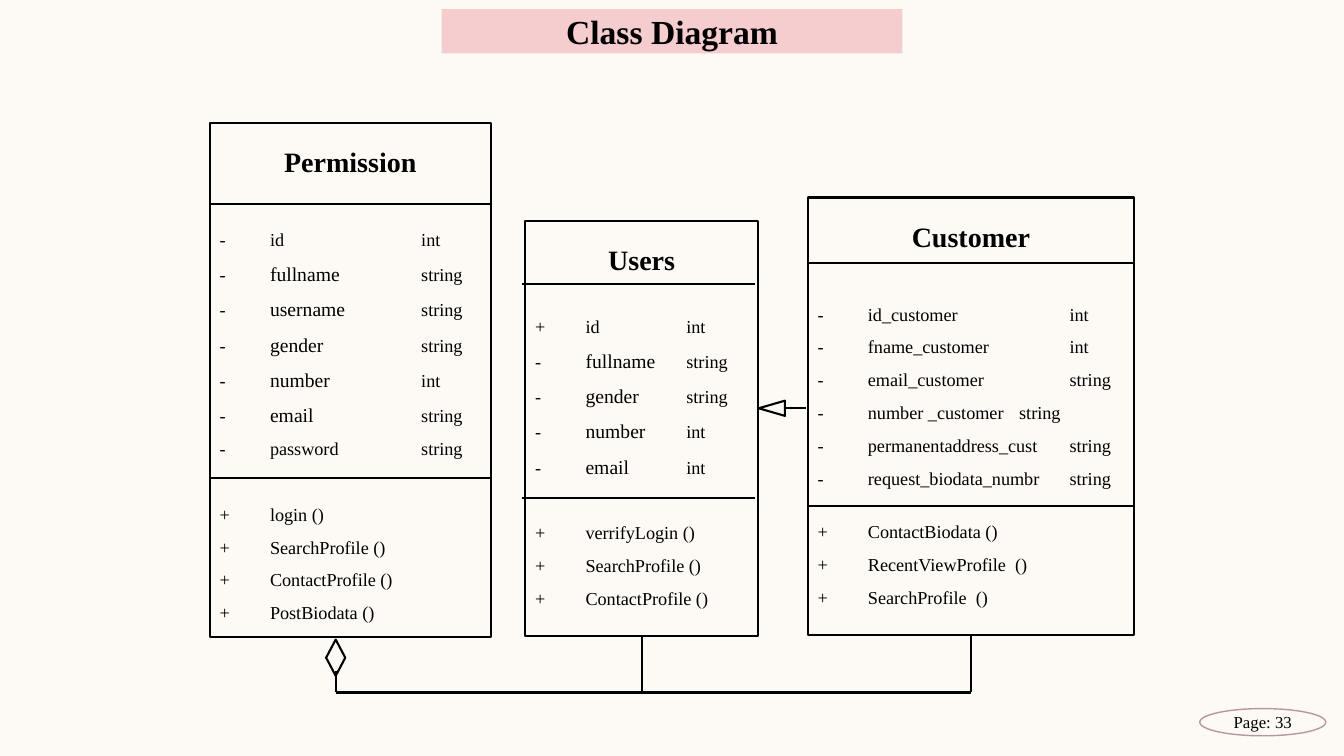
from pptx import Presentation
from pptx.dml.color import RGBColor
from pptx.enum.shapes import MSO_CONNECTOR, MSO_SHAPE
from pptx.enum.text import MSO_ANCHOR, PP_ALIGN
from pptx.oxml.ns import qn
from pptx.util import Inches, Pt
from lxml import etree

BLACK = RGBColor(0x00, 0x00, 0x00)
CREAM = RGBColor(0xFD, 0xFA, 0xF6)
PINK = RGBColor(0xF5, 0xCD, 0xCE)
MAUVE = RGBColor(0xB5, 0x98, 0x98)

RECTANGLE, ELLIPSE = MSO_SHAPE.RECTANGLE, MSO_SHAPE.OVAL
DIAMOND = MSO_SHAPE.FLOWCHART_DECISION
TRIANGLE = MSO_SHAPE.FLOWCHART_EXTRACT
STRAIGHT = MSO_CONNECTOR.STRAIGHT
CENTER, LEFT = PP_ALIGN.CENTER, PP_ALIGN.LEFT
TOP, MIDDLE = MSO_ANCHOR.TOP, MSO_ANCHOR.MIDDLE

FONT = "Times New Roman"
WIDTH, HEIGHT = Inches(13.33), Inches(7.5)
LINE_PITCH = 1.8  # line height as a multiple of the text size
NAME_TAB = 0.5    # inches from the text edge to the member names
BUS = 91.6        # height of the line that joins the classes

# Each class: place, the two dividers, their shift, the type column,
# the gaps above both member lists, attributes (mark, name, type, size), methods
CLASSES = [
    dict(name="Permission", box=(15.6, 16.27, 20.93, 68), dividers=(26.93, 63.2),
         shift=0, type_tab=2, gaps=(28, 23.4),
         attributes=[("-", "id", "int", 13), ("-", "fullname", "string", 14),
                     ("-", "username", "string", 14), ("-", "gender", "string", 14),
                     ("-", "number", "int", 14), ("-", "email", "string", 14),
                     ("-", "password", "string", 13)],
         methods=["login ()", "SearchProfile ()", "ContactProfile ()",
                  "PostBiodata ()"]),
    dict(name="Users", box=(39.08, 29.2, 17.33, 54.93), dividers=(37.6, 65.87),
         shift=-0.23, type_tab=1.5, gaps=(20, 23.4),
         attributes=[("+", "id", "int", 13), ("-", "fullname", "string", 14),
                     ("-", "gender", "string", 14), ("-", "number", "int", 14),
                     ("-", "email", "int", 14)],
         methods=["verrifyLogin ()", "SearchProfile ()", "ContactProfile ()"]),
    dict(name="Customer", box=(60.09, 26.13, 24.31, 57.87), dividers=(34.8, 66.93),
         shift=0, type_tab=2.5, gaps=(28, 15),
         attributes=[("-", "id_customer", "int", 13), ("-", "fname_customer", "int", 13),
                     ("-", "email_customer", "string", 13),
                     ("-", "number _customer", "string", 13, 2),
                     ("-", "permanentaddress_cust", "string", 13),
                     ("-", "request_biodata_numbr", "string", 13)],
         methods=["ContactBiodata ()", "RecentViewProfile  ()", "SearchProfile  ()"]),
]

# Lines between the classes: start and end
LINKS = [
    ((72.24, BUS), (24.98, BUS)),
    ((47.79, BUS), (47.79, 84.13)),
    ((72.24, BUS), (72.24, 84)),
    ((24.98, BUS), (24.98, 88.8)),
    ((59.94, 54), (58.44, 54)),
]


def across(share):
    """Percent of the slide's width."""
    return round(WIDTH * share / 100)


def down(share):
    """Percent of the slide's height."""
    return round(HEIGHT * share / 100)


def add_outline(slide, kind, box, color=BLACK, weight=1.5, rotation=0):
    left, top, width, height = box
    outline = slide.shapes.add_shape(kind, across(left), down(top),
                                     across(width), down(height))
    outline.shadow.inherit = False
    outline.fill.background()
    outline.line.color.rgb = color
    outline.line.width = Pt(weight)
    outline.rotation = rotation
    return outline


def add_line(slide, start, end):
    line = slide.shapes.add_connector(STRAIGHT, across(start[0]), down(start[1]),
                                      across(end[0]), down(end[1]))
    line.line.color.rgb = BLACK
    line.line.width = Pt(1.5)
    etree.SubElement(line._element.spPr, qn("a:effectLst"))


def add_run(paragraph, text, size, bold=False):
    run = paragraph.add_run()
    run.text = text
    run.font.name = FONT
    run.font.size = Pt(size)
    run.font.bold = bold
    run.font.color.rgb = BLACK


def write_label(shape, text, size, bold=False):
    frame = shape.text_frame
    frame.word_wrap = True
    frame.vertical_anchor = MIDDLE
    frame.paragraphs[0].alignment = CENTER
    add_run(frame.paragraphs[0], text, size, bold)


def set_tabs(paragraph, stops):
    tabs = etree.SubElement(paragraph._p.get_or_add_pPr(), qn("a:tabLst"))
    for stop in stops:
        etree.SubElement(tabs, qn("a:tab"), pos=str(Inches(stop)), algn="l")


def add_member(frame, mark, name, kind, size, type_tab, gap):
    member = frame.add_paragraph()
    member.alignment = LEFT
    member.line_spacing = Pt(LINE_PITCH * size)
    member.space_before = Pt(gap)
    set_tabs(member, (NAME_TAB, type_tab))
    add_run(member, mark + "\t", 13)
    add_run(member, name, size)
    if kind:
        add_run(member, "\t" + kind, 13)


def add_class(slide, name, box, dividers, shift, type_tab, gaps, attributes, methods):
    frame = add_outline(slide, RECTANGLE, box).text_frame
    frame.word_wrap = True
    frame.vertical_anchor = TOP
    heading = frame.paragraphs[0]
    heading.alignment = CENTER
    heading.line_spacing = Pt(LINE_PITCH * 20)
    add_run(heading, name, 20, bold=True)

    for row, (mark, attribute, kind, size, *own_tab) in enumerate(attributes):
        tab = own_tab[0] if own_tab else type_tab
        add_member(frame, mark, attribute, kind, size, tab, 0 if row else gaps[0])
    for row, method in enumerate(methods):
        add_member(frame, "+", method, "", 13, type_tab, 0 if row else gaps[1])

    left = box[0] + shift
    for level in dividers:
        add_line(slide, (left, level), (left + box[2], level))


def add_title(slide, text):
    title = slide.shapes.title
    title.left, title.top = across(32.86), down(1.2)
    title.width, title.height = across(34.28), down(5.87)
    title.fill.solid()
    title.fill.fore_color.rgb = PINK
    write_label(title, text, 24, bold=True)


def main():
    deck = Presentation()
    deck.slide_width, deck.slide_height = WIDTH, HEIGHT
    slide = deck.slides.add_slide(deck.slide_layouts.get_by_name("Title Only"))
    slide.background.fill.solid()
    slide.background.fill.fore_color.rgb = CREAM

    add_title(slide, "Class Diagram")

    # Classes and the lines between them
    for details in CLASSES:
        add_class(slide, **details)
    for start, end in LINKS:
        add_line(slide, start, end)

    # Inheritance and aggregation heads
    add_outline(slide, TRIANGLE, (56.86, 52.27, 1.13, 3.47), rotation=270)
    add_outline(slide, DIAMOND, (23.63, 85.73, 2.7, 2.53), rotation=270)

    # Page number
    page = add_outline(slide, ELLIPSE, (89.27, 93.73, 9.38, 3.6), MAUVE, 1)
    page.text_frame.margin_top = page.text_frame.margin_bottom = 0
    write_label(page, "Page: 33", 12)

    deck.save("out.pptx")


if __name__ == "__main__":
    main()
